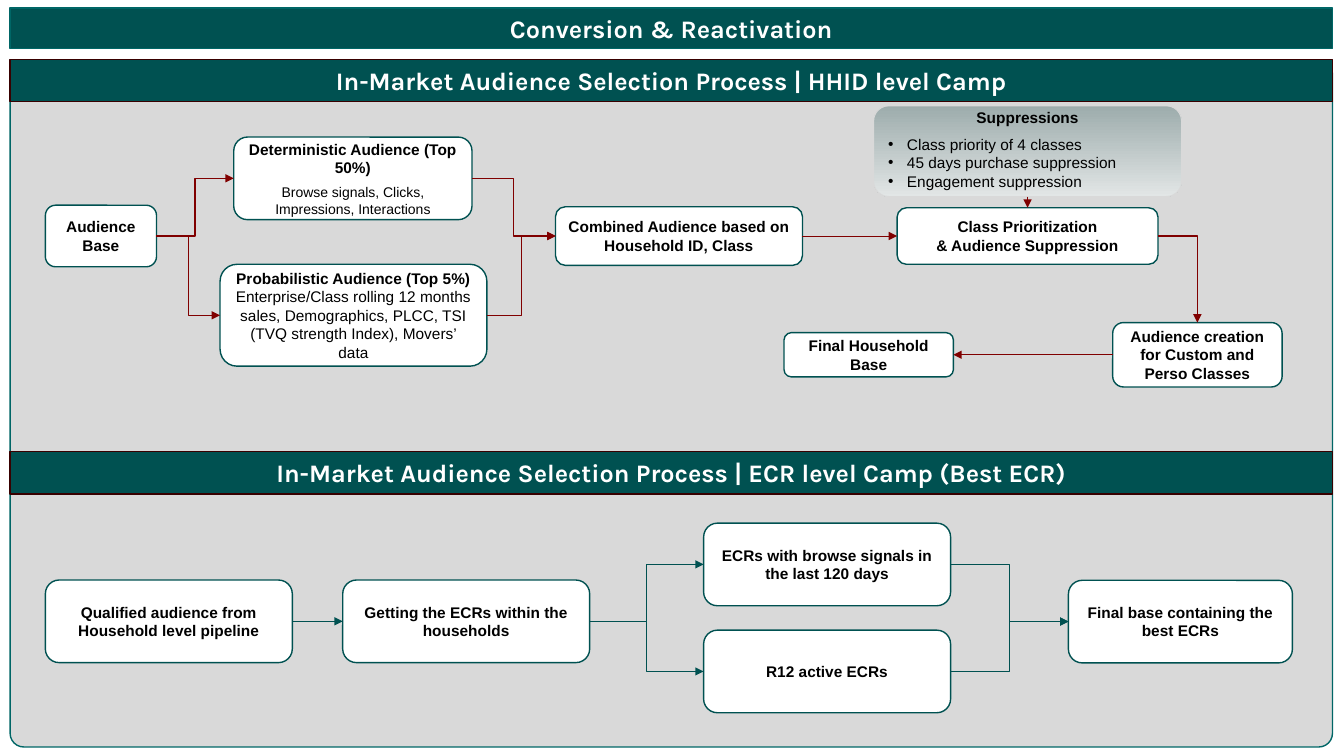
from dataclasses import dataclass

from lxml import etree
from pptx import Presentation
from pptx.dml.color import RGBColor
from pptx.enum.shapes import MSO_CONNECTOR, MSO_SHAPE
from pptx.enum.text import MSO_ANCHOR, MSO_AUTO_SIZE, PP_ALIGN
from pptx.oxml.ns import qn
from pptx.util import Pt

RECT, ROUND = MSO_SHAPE.RECTANGLE, MSO_SHAPE.ROUNDED_RECTANGLE
CARD = MSO_SHAPE.FLOWCHART_ALTERNATE_PROCESS
STRAIGHT, ELBOW = MSO_CONNECTOR.STRAIGHT, MSO_CONNECTOR.ELBOW
CENTER, LEFT = PP_ALIGN.CENTER, PP_ALIGN.LEFT
MIDDLE, NO_FIT = MSO_ANCHOR.MIDDLE, MSO_AUTO_SIZE.NONE
TOP, WEST, BOTTOM, EAST = range(4)

TEAL, RED, GRAY = "005151", "800000", "D9D9D9"
BLACK, WHITE = "000000", "FFFFFF"
EDGE, WIDE = 7.2, 944.6
HEAD = {"name": "Karla", "size": Pt(18), "bold": True}
BOLD = {"name": "Arial", "size": Pt(11), "bold": True}
PLAIN = {**BOLD, "bold": False}
SMALL = {**PLAIN, "size": Pt(10)}


@dataclass
class Line:
    text: str
    font: dict
    color: str = BLACK
    before: float = 0
    after: float = 0
    space: float = 1
    align: PP_ALIGN = CENTER


@dataclass
class Box:
    """A card whose vertical centre is mid."""
    x: float
    mid: float
    w: float
    h: float
    lines: list


@dataclass
class Link:
    start: str
    side: int
    end: str
    port: int
    color: str
    width: float
    kind: MSO_CONNECTOR = ELBOW


def bold(text: str) -> list:
    return [Line(text, BOLD)]


BOXES = {
    "base": Box(32.4, 168.6, 79.4, 44, bold("Audience Base")),
    "top50": Box(167, 127.4, 170.2, 59, [
        Line("Deterministic Audience (Top 50%)", BOLD),
        Line("Browse signals, Clicks, Impressions, Interactions", SMALL, before=4.6)]),
    "top5": Box(157.2, 225.2, 190.6, 72.8, [
        Line("Probabilistic Audience (Top 5%)", BOLD),
        Line("Enterprise/Class rolling 12 months sales, Demographics, PLCC, "
             "TSI (TVQ strength Index), Movers’ data", PLAIN)]),
    "joint": Box(396.8, 168.6, 176.4, 41.8,
                 bold("Combined Audience based on Household ID, Class")),
    "class": Box(640.8, 168.6, 186.4, 40.4,
                 bold("Class Prioritization") + bold("& Audience Suppression")),
    "custom": Box(794.8, 253.4, 121, 46,
                  bold("Audience creation for Custom and Perso Classes")),
    "house": Box(560, 253.4, 121, 31.6, bold("Final Household Base")),
    "fit": Box(32.4, 443.8, 176.4, 59,
               bold("Qualified audience from Household level pipeline")),
    "get": Box(244.8, 443.8, 176.4, 59, bold("Getting the ECRs within the households")),
    "browse": Box(502.6, 403.2, 176.4, 59,
                  bold("ECRs with browse signals in the last 120 days")),
    "active": Box(502.6, 479.6, 176.4, 59, bold("R12 active ECRs")),
    "best": Box(763.2, 444, 160, 59, bold("Final base containing the best ECRs")),
}
RULES = Box(624, 108, 220, 64.8, [
    Line("Suppressions", BOLD, after=9.5, space=0.75),
    Line("Class priority of 4 classes", PLAIN, space=0.75, align=LEFT),
    Line("45 days purchase suppression", PLAIN, align=LEFT),
    Line("Engagement suppression", PLAIN, align=LEFT)])
LINKS = [
    Link("base", EAST, "top50", WEST, RED, 1),
    Link("base", EAST, "top5", WEST, RED, 1),
    Link("top50", EAST, "joint", WEST, RED, 1),
    Link("top5", EAST, "joint", WEST, RED, 1),
    Link("joint", EAST, "class", WEST, RED, 0.5, STRAIGHT),
    Link("rules", BOTTOM, "class", TOP, RED, 1, STRAIGHT),
    Link("class", EAST, "custom", TOP, RED, 1),
    Link("custom", WEST, "house", EAST, RED, 0.5, STRAIGHT),
    Link("fit", EAST, "get", WEST, TEAL, 0.5, STRAIGHT),
    Link("get", EAST, "browse", WEST, TEAL, 0.5),
    Link("get", EAST, "active", WEST, TEAL, 0.5),
    Link("browse", EAST, "best", WEST, TEAL, 0.5),
    Link("active", EAST, "best", WEST, TEAL, 0.5),
]


def tint(target, color: str) -> None:
    """Give a colour format the hex colour."""
    target.rgb = RGBColor.from_string(color)


def apply(target, values: dict) -> None:
    for name, value in values.items():
        setattr(target, name, value)


def paint(shape, fill: str, line: str, width: float = 1) -> None:
    shape.fill.solid()
    tint(shape.fill.fore_color, fill)
    tint(shape.line.color, line)
    shape.line.width = Pt(width)


def place(shape, x: float, y: float, w: float, h: float) -> None:
    apply(shape, {"left": Pt(x), "top": Pt(y), "width": Pt(w), "height": Pt(h)})


def write(shape, lines: list) -> None:
    frame = shape.text_frame
    apply(frame, {"word_wrap": True, "auto_size": NO_FIT, "vertical_anchor": MIDDLE})
    for i, line in enumerate(lines):
        para = frame.add_paragraph() if i else frame.paragraphs[0]
        apply(para, {"alignment": line.align, "line_spacing": line.space,
                     "space_before": Pt(line.before), "space_after": Pt(line.after)})
        run = para.add_run()
        run.text = line.text
        apply(run.font, line.font)
        tint(run.font.color, line.color)


def draw(slide, kind: MSO_SHAPE, x: float, y: float, w: float, h: float):
    shape = slide.shapes.add_shape(kind, Pt(x), Pt(y), Pt(w), Pt(h))
    shape.shadow.inherit = False
    return shape


def card(slide, box: Box):
    shape = draw(slide, CARD, box.x, box.mid - box.h / 2, box.w, box.h)
    paint(shape, WHITE, TEAL)
    write(shape, box.lines)
    return shape


def band(slide, y: float, text: str) -> None:
    shape = draw(slide, RECT, EDGE, y, WIDE, 30.2)
    paint(shape, TEAL, "380000")
    write(shape, [Line(text, HEAD, WHITE)])


def list_card(slide, box: Box):
    """Turn the body placeholder into the shaded list card."""
    body = slide.placeholders[1]
    place(body, box.x, box.mid - box.h / 2, box.w, box.h)
    props = body._element.spPr
    form = etree.Element(qn("a:prstGeom"), prst="flowChartAlternateProcess")
    etree.SubElement(form, qn("a:avLst"))
    props.insert(1, form)
    paint(body, GRAY, GRAY, 0.75)
    body.fill.gradient()
    body.fill.gradient_angle = 270
    for stop, color in zip(body.fill.gradient_stops, ("9DACAC", "E2E6E6")):
        tint(stop.color, color)
    write(body, box.lines)
    for para in body.text_frame.paragraphs:
        dent = 0 if para.alignment == CENTER else Pt(13.5)
        prop = para._p.get_or_add_pPr()
        prop.set("marL", str(dent))
        prop.set("indent", str(-dent))
        if not dent:
            etree.SubElement(prop, qn("a:buNone"))
    slide.shapes._spTree.append(body._element)
    return body


def join(slide, link: Link, cards: dict) -> None:
    line = slide.shapes.add_connector(link.kind, 0, 0, 0, 0)
    line.begin_connect(cards[link.start], link.side)
    line.end_connect(cards[link.end], link.port)
    tint(line.line.color, link.color)
    line.line.width = Pt(link.width)
    props = line._element.spPr
    if link.kind == ELBOW and link.port == TOP:
        props.find(qn("a:prstGeom")).set("prst", "bentConnector2")
    etree.SubElement(props.find(qn("a:ln")), qn("a:tailEnd"), type="triangle")
    etree.SubElement(props, qn("a:effectLst"))


def main() -> None:
    deck = Presentation()
    apply(deck, {"slide_width": Pt(960), "slide_height": Pt(540)})
    slide = deck.slides.add_slide(deck.slide_layouts[1])
    title = slide.shapes.title
    place(title, EDGE, 5.8, WIDE, 29)
    paint(title, TEAL, "006666")
    write(title, [Line("Conversion & Reactivation", HEAD, WHITE)])
    panel = draw(slide, ROUND, EDGE, 43.2, WIDE, 490.4)
    panel.adjustments[0] = 0.02
    paint(panel, GRAY, "006666")
    band(slide, 42.4, "In-Market Audience Selection Process | HHID level Camp")
    band(slide, 322.6, "In-Market Audience Selection Process | ECR level Camp (Best ECR)")
    cards = {name: card(slide, box) for name, box in BOXES.items()}
    cards["rules"] = list_card(slide, RULES)
    for link in LINKS:
        join(slide, link, cards)
    deck.save("out.pptx")


if __name__ == "__main__":
    main()
